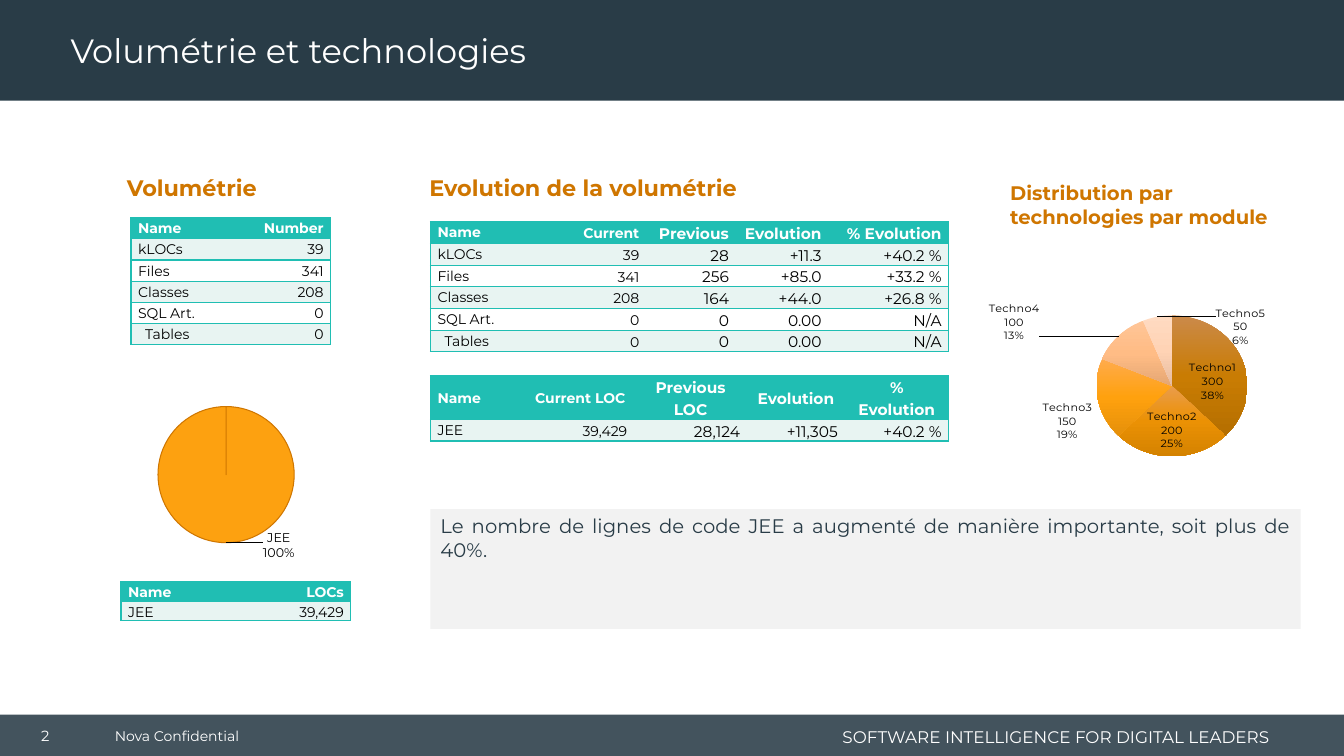
from copy import deepcopy
from dataclasses import dataclass

from lxml import etree
from pptx import Presentation
from pptx.chart.data import CategoryChartData
from pptx.dml.color import RGBColor
from pptx.enum.chart import XL_CHART_TYPE, XL_LABEL_POSITION
from pptx.enum.shapes import MSO_SHAPE
from pptx.enum.text import MSO_ANCHOR, PP_ALIGN
from pptx.oxml import parse_xml
from pptx.oxml.ns import nsdecls, qn
from pptx.util import Inches, Pt

PIE = XL_CHART_TYPE.PIE
INSIDE, OUTSIDE = XL_LABEL_POSITION.INSIDE_END, XL_LABEL_POSITION.OUTSIDE_END
RECTANGLE = MSO_SHAPE.RECTANGLE
TOP, MIDDLE = MSO_ANCHOR.TOP, MSO_ANCHOR.MIDDLE
LEFT, CENTER, RIGHT, JUSTIFY = PP_ALIGN.LEFT, PP_ALIGN.CENTER, PP_ALIGN.RIGHT, PP_ALIGN.JUSTIFY

FONT = "Montserrat"
NAVY = RGBColor(0x29, 0x3C, 0x47)
TEAL = RGBColor(0x20, 0xBE, 0xB3)
MINT = RGBColor(0xE8, 0xF4, 0xF2)
WHITE = RGBColor(0xFF, 0xFF, 0xFF)
BLACK = RGBColor(0, 0, 0)
GREY = RGBColor(0xF2, 0xF2, 0xF2)
ORANGE = RGBColor(0xCF, 0x76, 0x00)
AMBER = RGBColor(0xFD, 0xA1, 0x10)
NO_STYLE = "{2D5ABB26-0587-4C30-8999-92F81FD0307C}"


@dataclass
class Label:
    text: str
    box: tuple
    size: float
    color: RGBColor = WHITE
    align: int = LEFT
    anchor: int = MIDDLE
    bold: bool = False
    wrap: bool = True


@dataclass
class Grid:
    left: float
    top: float
    columns: list
    row_height: float
    rows: list
    header_align: int = RIGHT
    anchor: int = TOP


@dataclass
class Slice:
    name: str
    value: int
    colors: list
    position: int
    shift: tuple = ()


@dataclass
class Pie:
    box: tuple
    plot: tuple
    slices: list
    size: float
    shown: tuple
    outline: bool = False


def format_paragraph(paragraph, size: float, color: RGBColor, align: int, bold: bool = False) -> None:
    paragraph.alignment = align
    for run in paragraph.runs:
        run.font.name, run.font.size, run.font.bold = FONT, Pt(size), bold
        run.font.color.rgb = color


def add_label(slide, label: Label) -> None:
    frame = slide.shapes.add_textbox(*map(Inches, label.box)).text_frame
    frame.text, frame.word_wrap, frame.vertical_anchor = label.text, label.wrap, label.anchor
    format_paragraph(frame.paragraphs[0], label.size, label.color, label.align, label.bold)


def add_block(slide, box: tuple, color: RGBColor):
    block = slide.shapes.add_shape(RECTANGLE, *map(Inches, box))
    block.shadow.inherit = False
    block.fill.solid()
    block.fill.fore_color.rgb = color
    block.line.fill.background()
    return block


def add_borders(cell, sides: list) -> None:
    for index, side in enumerate(sides):
        cell._tc.get_or_add_tcPr().insert(index, parse_xml(
            f'<a:ln{side} {nsdecls("a")} w="12700"><a:solidFill><a:srgbClr val="{TEAL}"/>'
            f'</a:solidFill></a:ln{side}>'))


def add_grid(slide, grid: Grid) -> None:
    last = len(grid.columns) - 1
    table = slide.shapes.add_table(
        len(grid.rows), last + 1, Inches(grid.left), Inches(grid.top),
        Inches(sum(grid.columns)), Inches(grid.row_height * len(grid.rows))).table
    table._tbl.tblPr.find(qn("a:tableStyleId")).text = NO_STYLE
    for column, width in zip(table.columns, grid.columns):
        column.width = Inches(width)
    for r, values in enumerate(grid.rows):
        table.rows[r].height = Inches(grid.row_height)
        for c, value in enumerate(values):
            cell = table.cell(r, c)
            cell.text = value
            cell.margin_left = cell.margin_right = Inches(0.07)
            cell.margin_top = cell.margin_bottom = 0
            centred_header = r == 0 and grid.header_align == CENTER
            cell.vertical_anchor = grid.anchor if c or centred_header else TOP
            cell.fill.solid()
            cell.fill.fore_color.rgb = TEAL if r == 0 else MINT if r % 2 else WHITE
            add_borders(cell, ["L"] * (c == 0) + ["R"] * (c == last) + ["T", "B"])
            paragraph = cell.text_frame.paragraphs[0]
            paragraph.line_spacing = 1.15
            align = LEFT if c == 0 else grid.header_align if r == 0 else RIGHT
            format_paragraph(paragraph, 11 if c > 1 else 10, WHITE if r == 0 else BLACK, align, r == 0)
            if value == "Tables":
                paragraph._p.get_or_add_pPr().set("marL", str(Inches(0.07)))


def fill_slice(fill, colors: list) -> None:
    if len(colors) == 1:
        fill.solid()
        fill.fore_color.rgb = colors[0]
        return
    fill.gradient()
    fill.gradient_angle = 270
    first_stop = fill._xPr.find(".//" + qn("a:gs"))
    first_stop.addnext(deepcopy(first_stop))
    for stop, position, color in zip(fill.gradient_stops, (0, 0.5, 1), colors):
        stop.position, stop.color.rgb = position, color


def manual_layout(values: tuple, inner: bool = False):
    target = '<c:layoutTarget val="inner"/><c:xMode val="edge"/><c:yMode val="edge"/>' if inner else ""
    places = "".join(f'<c:{key} val="{value}"/>' for key, value in zip("xywh", values))
    return parse_xml(f'<c:layout {nsdecls("c")}><c:manualLayout>{target}{places}</c:manualLayout></c:layout>')


def add_pie(slide, pie: Pie) -> None:
    data = CategoryChartData()
    data.categories = [part.name for part in pie.slices]
    data.add_series("Series 1", [part.value for part in pie.slices])
    chart = slide.shapes.add_chart(PIE, *map(Inches, pie.box), data).chart
    chart.has_legend = chart.has_title = False
    chart.font.name, chart.font.size, chart.font.color.rgb = FONT, Pt(18), BLACK
    plot_area = chart._chartSpace.chart.plotArea
    for layout in plot_area.findall(qn("c:layout")):
        plot_area.remove(layout)
    plot_area.insert(0, manual_layout(pie.plot, inner=True))
    chart.plots[0].vary_by_categories = True
    series = chart.plots[0].series[0]
    for index, part in enumerate(pie.slices):
        point = series.points[index]
        fill_slice(point.format.fill, part.colors)
        if pie.outline:
            point.format.line.color.rgb = ORANGE
            point.format.line.width = Pt(0.75)
        else:
            point.format.line.fill.background()
        point.data_label.position = part.position
        font = point.data_label.font
        font.name, font.size, font.color.rgb = FONT, Pt(pie.size), BLACK
    # Label contents, one line each, and moved labels
    for holder in series._element.iter(qn("c:dLbls"), qn("c:dLbl")):
        for flag in ("showVal", "showCatName", "showPercent"):
            holder.find(qn("c:" + flag)).set("val", str(int(flag in pie.shown)))
        separator = etree.Element(qn("c:separator"))
        separator.text = "\n"
        holder.find(qn("c:showBubbleSize")).addnext(separator)
    for part, holder in zip(pie.slices, series._element.iter(qn("c:dLbl"))):
        if part.shift:
            holder.find(qn("c:idx")).addnext(manual_layout(part.shift))


def shades(*codes: str) -> list:
    return [RGBColor.from_string(code) for code in codes]


LABELS = [
    Label("Nova Confidential", (1.04, 7.1, 1.48, 0.4), 10, wrap=False),
    Label("SOFTWARE INTELLIGENCE FOR DIGITAL LEADERS", (8.11, 7.15, 4.58, 0.32), 12, align=RIGHT),
    Label("2", (0.09, 7.1, 0.72, 0.4), 10.5, align=CENTER),
    Label("Volumétrie", (1.16, 1.68, 2.26, 0.37), 16, ORANGE, anchor=TOP, bold=True),
    Label("Evolution de la volumétrie", (4.16, 1.68, 3.36, 0.37), 16, ORANGE, anchor=TOP, bold=True),
    Label("Distribution par technologies par module", (9.92, 1.75, 3.19, 0.57), 14, ORANGE,
          anchor=TOP, bold=True),
]
GRIDS = [
    Grid(1.3, 2.16, [1.16, 0.82], 0.21, [
        ["Name", "Number"], ["kLOCs", "39"], ["Files", "341"], ["Classes", "208"],
        ["SQL Art.", "0"], ["Tables", "0"]]),
    Grid(1.2, 5.77, [1.34, 0.94], 0.18, [["Name", "LOCs"], ["JEE", "39,429"]]),
    Grid(4.27, 3.73, [0.95, 1.07, 1.12, 0.97, 1.03], 0.18, [
        ["Name", "Current LOC", "Previous LOC", "Evolution", "% Evolution"],
        ["JEE", "39,429", "28,124", "+11,305", "+40.2 %"]], CENTER, MIDDLE),
    Grid(4.27, 2.2, [1.25, 0.89, 0.89, 0.92, 1.19], 0.18, [
        ["Name", "Current", "Previous", "Evolution", "% Evolution"],
        ["kLOCs", "39", "28", "+11.3", "+40.2 %"],
        ["Files", "341", "256", "+85.0", "+33.2 %"],
        ["Classes", "208", "164", "+44.0", "+26.8 %"],
        ["SQL Art.", "0", "0", "0.00", "N/A"],
        ["Tables", "0", "0", "0.00", "N/A"]], anchor=MIDDLE),
]
PIES = [
    Pie((1.24, 3.56, 2.18, 2.37), (0.15, 0.03, 0.62, 0.91),
        [Slice("JEE", 100, [AMBER], OUTSIDE, (0.24, -0.08))], 9, ("showCatName", "showPercent"), True),
    Pie((9.63, 2.68, 3.38, 1.92), (0.28, 0.18, 0.62, 0.78), [
        Slice("Techno1", 300, shades("CB8A4B", "C97C03", "B56F00"), INSIDE),
        Slice("Techno2", 200, shades("EA9C4B", "EB9104", "D48200"), INSIDE),
        Slice("Techno3", 150, shades("FFAB4C", "FFA10E", "E5900A"), OUTSIDE),
        Slice("Techno4", 100, shades("FFC597", "FFBC85", "E5A774"), OUTSIDE, (-0.22, 0.06)),
        Slice("Techno5", 50, shades("FFDBC2", "FFD3B5", "E5BB9F"), OUTSIDE, (0.32, 0.2)),
    ], 8, ("showCatName", "showVal", "showPercent")),
]


def main() -> None:
    deck = Presentation()
    deck.slide_width, deck.slide_height = Inches(13.33), Inches(7.5)
    slide = deck.slides.add_slide(deck.slide_layouts[5])

    # Header and footer bands, behind the title
    header = add_block(slide, (0, 0, 13.33, 1), NAVY)
    footer = add_block(slide, (0, 7.09, 13.33, 0.41), NAVY)
    footer_color = footer._element.spPr.find(qn("a:solidFill"))[0]
    etree.SubElement(footer_color, qn("a:alpha")).set("val", "88000")
    for band in (header, footer):
        slide.shapes._spTree.insert(2, band._element)

    # Title
    title = slide.shapes.title
    title.left, title.top, title.width, title.height = map(Inches, (0.6, 0.04, 9.58, 0.96))
    title.text_frame.text = "Volumétrie et technologies"
    title.text_frame.vertical_anchor = MIDDLE
    title.text_frame.paragraphs[0].line_spacing = 0.9
    format_paragraph(title.text_frame.paragraphs[0], 24, WHITE, LEFT)

    # Comment
    comment = add_block(slide, (4.27, 5.05, 8.63, 1.19), GREY).text_frame
    comment.text = "Le nombre de lignes de code JEE a augmenté de manière importante, soit plus de 40%."
    comment.word_wrap, comment.vertical_anchor = True, TOP
    format_paragraph(comment.paragraphs[0], 14, NAVY, JUSTIFY)

    # Charts, tables and texts
    for pie in PIES:
        add_pie(slide, pie)
    for grid in GRIDS:
        add_grid(slide, grid)
    for label in LABELS:
        add_label(slide, label)
    deck.save("out.pptx")


if __name__ == "__main__":
    main()
